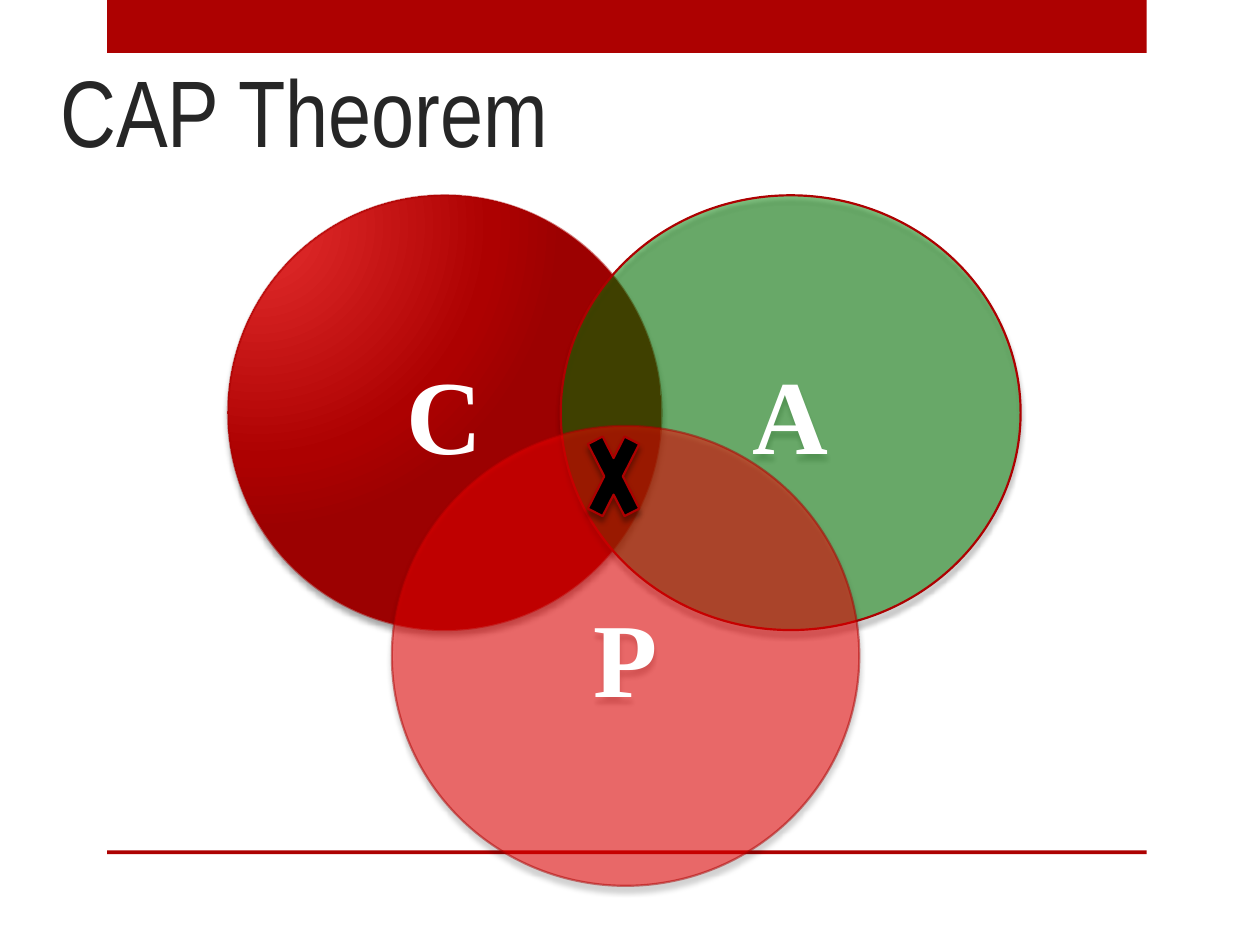
from dataclasses import dataclass
from typing import Optional

from lxml.etree import SubElement
from pptx import Presentation
from pptx.dml.color import RGBColor
from pptx.enum.shapes import MSO_SHAPE as Kind
from pptx.enum.text import MSO_ANCHOR as Anchor, PP_ALIGN as Align
from pptx.oxml.ns import qn
from pptx.util import Inches, Pt

RED = RGBColor(0xAD, 0x01, 0x01)
RIM = RGBColor(0xAA, 0x00, 0x00)
GREEN = RGBColor(0x00, 0x80, 0x00)
BRIGHT = RGBColor(0xFF, 0x00, 0x00)
GLOW = RGBColor(0xE6, 0x2F, 0x2F)
DEEP = RGBColor(0x9C, 0x01, 0x01)
BLACK = RGBColor(0x00, 0x00, 0x00)
WHITE = RGBColor(0xFF, 0xFF, 0xFF)
INK = RGBColor(0x26, 0x26, 0x26)

WIDE, HIGH = Inches(10), Inches(7.5)


@dataclass(frozen=True)
class Box:
    left: float
    top: float
    width: float
    height: float

    def place(self) -> tuple[int, int, int, int]:
        return (
            round(WIDE * self.left / 100),
            round(HIGH * self.top / 100),
            round(WIDE * self.width / 100),
            round(HIGH * self.height / 100),
        )


@dataclass(frozen=True)
class Part:
    kind: Kind
    box: Box
    fill: Optional[RGBColor]
    rim: RGBColor
    alpha: int = 100
    fade: int = 100
    text: str = ""


BARS = [Box(8.5, 0, 82.5, 5.6), Box(8.5, 90, 82.5, 0.4)]
PARTS = [
    Part(Kind.OVAL, Box(18.1, 20.67, 34.4, 46), None, RIM, fade=50, text="C"),
    Part(Kind.OVAL, Box(44.5, 20.67, 36.5, 46), GREEN, RED, alpha=50, text="A"),
    Part(Kind.OVAL, Box(31.1, 45.07, 37.1, 48.67), BRIGHT, RIM, 50, 50, "P"),
    Part(Kind.MATH_MULTIPLY, Box(45.9, 43.07, 5.6, 14.67), BLACK, RED),
]


def tint(node, color: RGBColor, alpha: int = 100) -> None:
    tone = SubElement(node, qn("a:srgbClr"), val=str(color))
    if alpha < 100:
        SubElement(tone, qn("a:alpha"), val=str(alpha * 1000))


def paint(fill, node, color: RGBColor, alpha: int) -> None:
    fill.solid()
    fill.fore_color.rgb = color
    if alpha < 100:
        tone = node.find(qn("a:solidFill")).find(qn("a:srgbClr"))
        SubElement(tone, qn("a:alpha"), val=str(alpha * 1000))


def shade(shape) -> None:
    shape.fill.gradient()
    grad = shape._element.spPr.find(qn("a:gradFill"))
    for child in list(grad):
        grad.remove(child)
    stops = SubElement(grad, qn("a:gsLst"))
    for pos, color in ((0, GLOW), (76, RED), (100, DEEP)):
        tint(SubElement(stops, qn("a:gs"), pos=str(pos * 1000)), color)
    way = SubElement(grad, qn("a:path"), {"path": "circle"})
    SubElement(way, qn("a:fillToRect"), l="15000", t="15000", r="100000", b="100000")


def cast(shape) -> None:
    shape.shadow.inherit = False
    effect = shape._element.spPr.find(qn("a:effectLst"))
    drop = SubElement(
        effect,
        qn("a:outerShdw"),
        blurRad=str(Pt(3)),
        dist=str(Pt(3)),
        dir="5400000",
        rotWithShape="0",
    )
    tint(drop, BLACK, 35)


def write(frame, text: str, font: str, size: int, color: RGBColor,
          align: Align, anchor: Anchor, bold: bool = False) -> None:
    frame.word_wrap = True
    frame.vertical_anchor = anchor
    para = frame.paragraphs[0]
    para.alignment = align
    run = para.add_run()
    run.text = text
    run.font.name = font
    run.font.size = Pt(size)
    run.font.bold = bold
    run.font.color.rgb = color


def draw_bar(slide, box: Box) -> None:
    bar = slide.shapes.add_shape(Kind.RECTANGLE, *box.place())
    bar.shadow.inherit = False
    bar.fill.solid()
    bar.fill.fore_color.rgb = RED
    bar.line.fill.background()


def draw_part(slide, part: Part) -> None:
    shape = slide.shapes.add_shape(part.kind, *part.box.place())
    props = shape._element.spPr
    if part.fill is None:
        shade(shape)
    else:
        paint(shape.fill, props, part.fill, part.alpha)
    shape.line.width = Pt(1.25)
    paint(shape.line.fill, props.find(qn("a:ln")), part.rim, part.fade)
    cast(shape)
    if part.text:
        write(shape.text_frame, part.text, "Times New Roman", 60, WHITE,
              Align.CENTER, Anchor.MIDDLE, True)


def main() -> None:
    deck = Presentation()
    deck.slide_width, deck.slide_height = WIDE, HIGH
    slide = deck.slides.add_slide(deck.slide_layouts[6])
    for bar in BARS:
        draw_bar(slide, bar)
    title = slide.shapes.add_textbox(*Box(3.8, 1.6, 90, 16.67).place())
    write(title.text_frame, "CAP Theorem", "Arial Narrow", 54, INK,
          Align.LEFT, Anchor.BOTTOM)
    for part in PARTS:
        draw_part(slide, part)
    deck.save("out.pptx")


if __name__ == "__main__":
    main()
